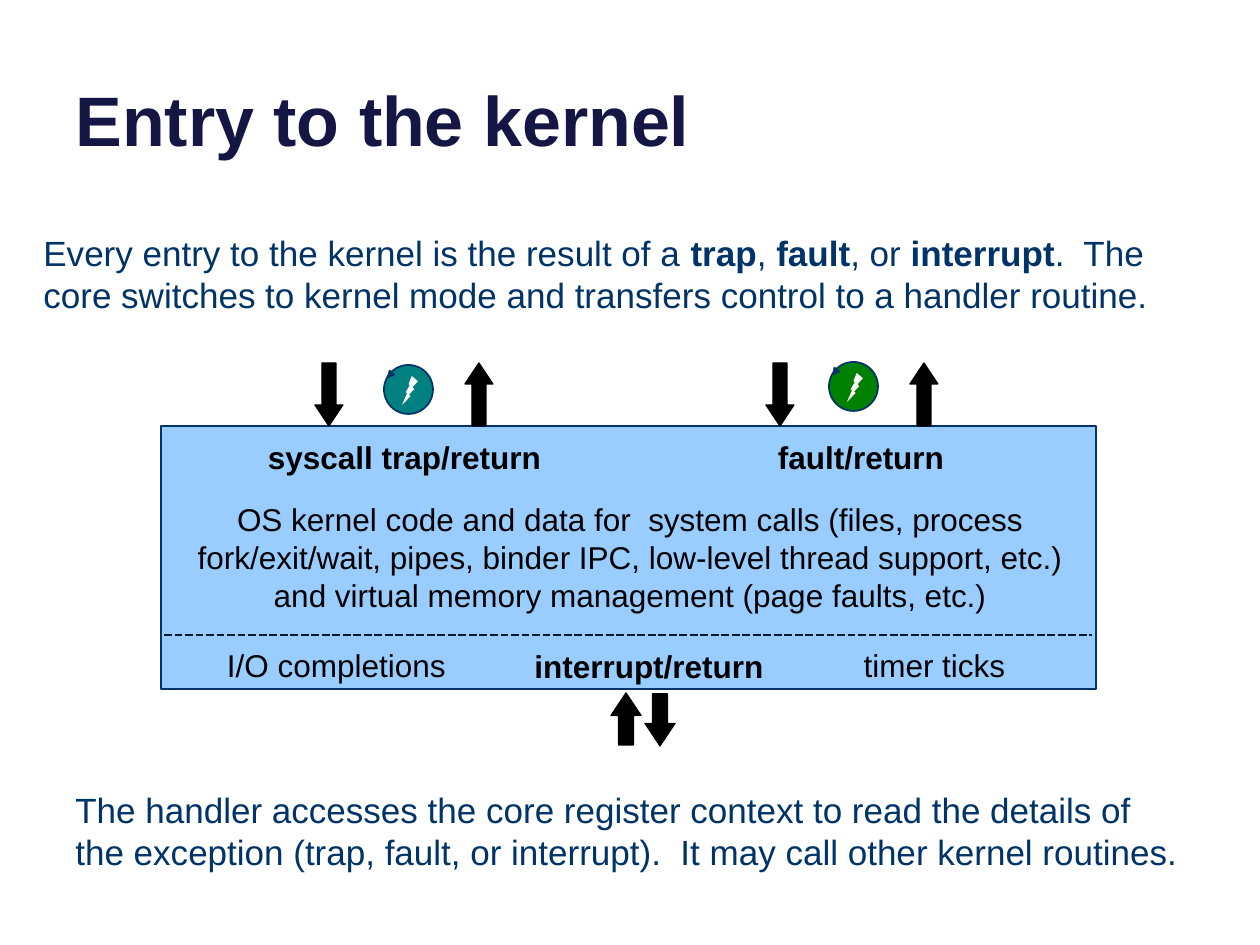
from lxml import etree
from pptx import Presentation
from pptx.dml.color import RGBColor
from pptx.enum.dml import MSO_LINE
from pptx.enum.shapes import MSO_CONNECTOR, MSO_SHAPE
from pptx.enum.text import MSO_ANCHOR, MSO_AUTO_SIZE, PP_ALIGN
from pptx.oxml.ns import qn
from pptx.util import Emu, Pt

LEFT, CENTER = PP_ALIGN.LEFT, PP_ALIGN.CENTER
UP_ARROW, ELLIPSE = MSO_SHAPE.UP_ARROW, MSO_SHAPE.OVAL
BOLT, TRIANGLE = MSO_SHAPE.LIGHTNING_BOLT, MSO_SHAPE.ISOSCELES_TRIANGLE
PROCESS = MSO_SHAPE.FLOWCHART_PROCESS
PX = 914400 / 126
COLORS = {
    "title": "161645",
    "navy": "003367",
    "divider": "001934",
    "kernel": "99CCFF",
    "trap": "008080",
    "fault": "008000",
    "black": "000000",
    "white": "FFFFFF",
}

presentation = Presentation()
presentation.slide_width = Emu(round(1260 * PX))
presentation.slide_height = Emu(round(945 * PX))
slide = presentation.slides.add_slide(presentation.slide_layouts[5])


def add_filled(kind, box, fill, line=None, width=1, flip=None):
    shape = slide.shapes.add_shape(kind, *[Emu(round(n * PX)) for n in box])
    shape.shadow.inherit = False
    shape.fill.solid()
    shape.fill.fore_color.rgb = RGBColor.from_string(COLORS[fill])
    if line:
        shape.line.color.rgb = RGBColor.from_string(COLORS[line])
        shape.line.width = Pt(width)
    else:
        shape.line.fill.background()
    if flip:
        shape._element.spPr.find(qn("a:xfrm")).set(flip, "1")
    return shape


def write_text(shape, runs, size, color, align):
    frame = shape.text_frame
    frame.word_wrap = True
    paragraph = frame.paragraphs[0]
    paragraph.alignment = align
    for text, bold in runs:
        run = paragraph.add_run()
        run.text = text
        run.font.name = "Arial"
        run.font.size = Pt(size)
        run.font.bold = bold
        run.font.color.rgb = RGBColor.from_string(COLORS[color])


title = slide.shapes.title
title.left, title.top, title.width, title.height = [
    Emu(round(n * PX)) for n in (63, -47, 1134, 214)
]
title.text_frame.auto_size = MSO_AUTO_SIZE.NONE
title.text_frame.vertical_anchor = MSO_ANCHOR.BOTTOM
write_text(title, [("Entry to the kernel", True)], 40, "title", LEFT)

add_filled(PROCESS, (161, 426, 935, 263), "kernel", "navy")

divider = slide.shapes.add_connector(
    MSO_CONNECTOR.STRAIGHT, *[Emu(round(n * PX)) for n in (164, 635, 1092, 635)]
)
divider.line.color.rgb = RGBColor.from_string(COLORS["divider"])
divider.line.width = Pt(1.5)
divider.line.dash_style = MSO_LINE.SQUARE_DOT
etree.SubElement(divider._element.spPr, qn("a:effectLst"))

arrows = [
    (611, 693, 30, 52, None),
    (645, 694, 30, 52, "flipV"),
    (315, 363, 28, 63, "flipV"),
    (465, 363, 28, 63, None),
    (766, 363, 28, 63, "flipV"),
    (910, 363, 28, 63, None),
]
for *box, flip in arrows:
    arrow = add_filled(UP_ARROW, box, "black", "black", 0.75, flip)
    arrow.adjustments[0] = 0.5
    arrow.adjustments[1] = 0.75

for left, top, fill in [(384, 365, "trap"), (829, 362, "fault")]:
    add_filled(ELLIPSE, (left, top, 49, 49), fill, "navy")
    add_filled(BOLT, (left + 18, top + 11, 16, 29), "white", flip="flipH")
    tip = add_filled(TRIANGLE, (left + 3, top + 7, 6, 6), "navy", "navy")
    tip.rotation = 219

entry_runs = [
    ("Every entry to the kernel is the result of a ", False),
    ("trap", True),
    (", ", False),
    ("fault", True),
    (", or ", False),
    ("interrupt", True),
    (".  The core switches to kernel mode and transfers control to a handler routine.", False),
]
handler_runs = [
    ("The handler accesses the core register context to read the details of the "
     "exception (trap, fault, or interrupt).  It may call other kernel routines.", False),
]
kernel_runs = [
    ("OS kernel code and data for  system calls (files, process fork/exit/wait, pipes, "
     "binder IPC, low-level thread support, etc.) and virtual memory management "
     "(page faults, etc.)", False),
]
texts = [
    ((242, 432, 325, 51), [("syscall trap/return", True)], 18, "black", CENTER),
    ((735, 432, 252, 51), [("fault/return", True)], 18, "black", CENTER),
    ((511, 641, 276, 51), [("interrupt/return", True)], 18, "black", CENTER),
    ((63, 782, 1134, 98), handler_runs, 20, "navy", LEFT),
    ((31, 225, 1197, 98), entry_runs, 20, "navy", LEFT),
    ((168, 494, 924, 127), kernel_runs, 18, "black", CENTER),
    ((116, 640, 441, 51), [("I/O completions", False)], 18, "black", CENTER),
    ((714, 640, 441, 51), [("timer ticks", False)], 18, "black", CENTER),
]
for box, runs, size, color, align in texts:
    text_box = slide.shapes.add_textbox(*[Emu(round(n * PX)) for n in box])
    write_text(text_box, runs, size, color, align)

presentation.save("out.pptx")
